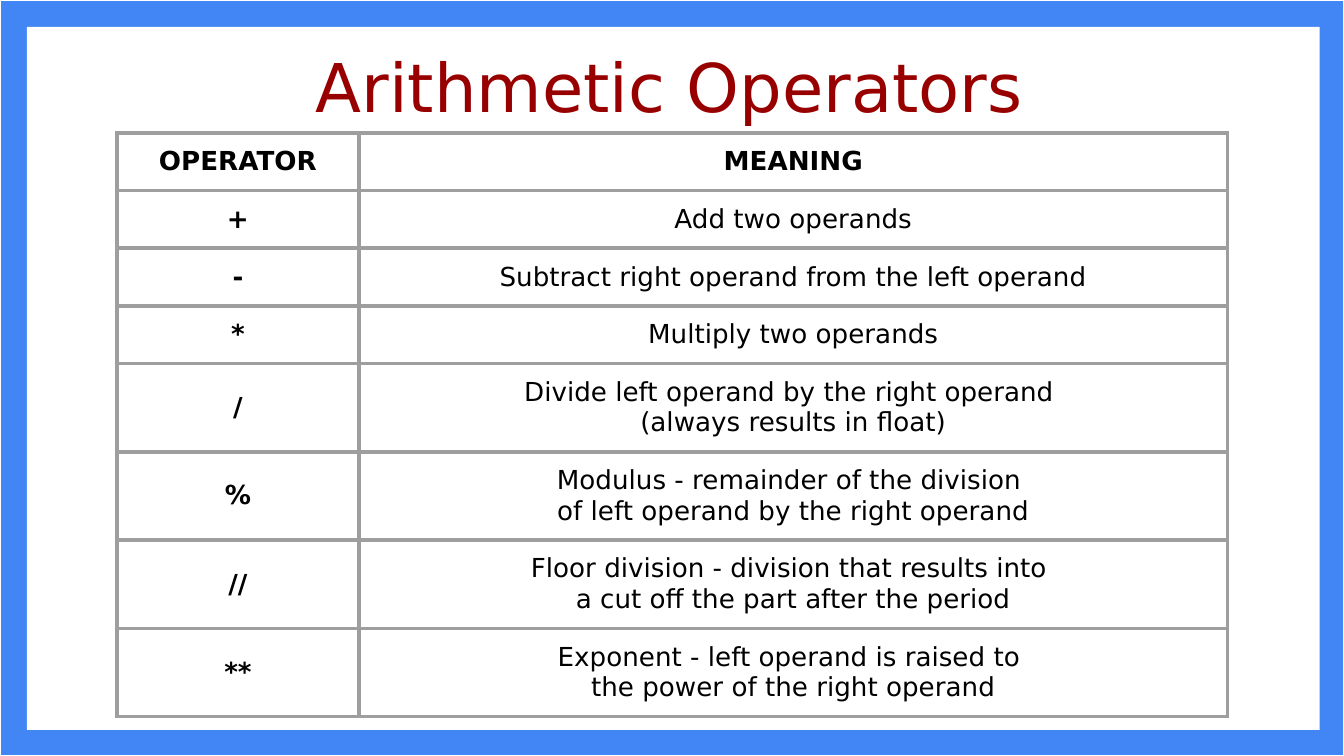
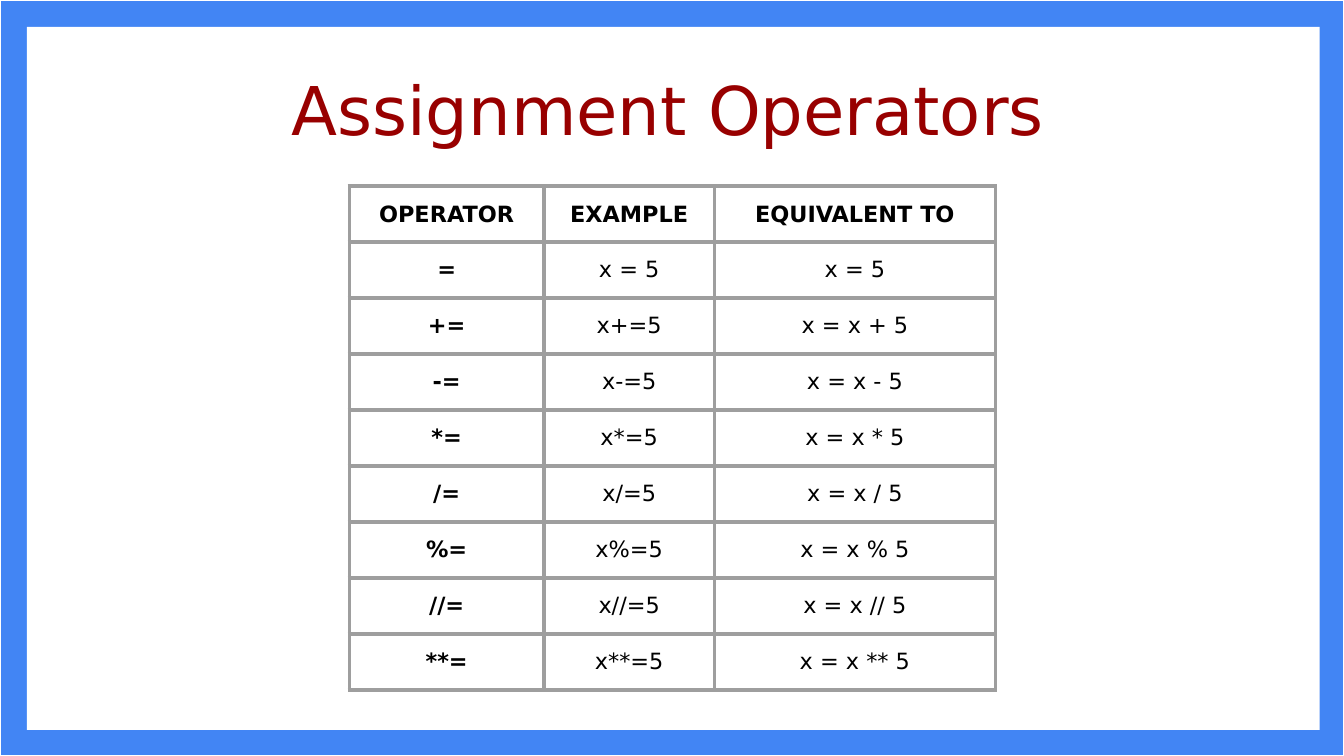
from lxml import etree
from pptx import Presentation
from pptx.dml.color import RGBColor
from pptx.enum.shapes import MSO_SHAPE
from pptx.enum.text import MSO_ANCHOR, MSO_AUTO_SIZE, PP_ALIGN
from pptx.oxml.ns import qn
from pptx.util import Pt

RECTANGLE = MSO_SHAPE.RECTANGLE
TOP, MIDDLE = MSO_ANCHOR.TOP, MSO_ANCHOR.MIDDLE
LEFT, CENTER = PP_ALIGN.LEFT, PP_ALIGN.CENTER
NO_AUTOFIT = MSO_AUTO_SIZE.NONE

BLUE = RGBColor(0x42, 0x85, 0xF4)
WHITE = RGBColor(0xFF, 0xFF, 0xFF)
BLACK = RGBColor(0x00, 0x00, 0x00)
DARK_RED = RGBColor(0x98, 0x00, 0x00)
GRAY = RGBColor(0x9E, 0x9E, 0x9E)

FONT = "DejaVu Sans"
SLIDE_WIDTH, SLIDE_HEIGHT = 720, 405
INSET = 7.2
ROW_HEIGHT = 30
BORDER_WIDTH = 2.25
TITLE_ONLY = 5

# A list holds paragraphs; "\n" is a line break within one paragraph
ARITHMETIC_ROWS = [
    ["OPERATOR", "MEANING"],
    ["+", "Add two operands"],
    ["-", "Subtract right operand from the left operand"],
    ["*", "Multiply two operands"],
    ["/", ["Divide left operand by the right operand ", "(always results in float)"]],
    ["%", ["Modulus - remainder of the division ", "of left operand by the right operand"]],
    ["//", "Floor division - division that results into \na cut off the part after the period"],
    ["**", ["Exponent - left operand is raised to ", "the power of the right operand"]],
]
ASSIGNMENT_ROWS = [["OPERATOR", "EXAMPLE", "EQUIVALENT TO"], ["=", "x = 5", "x = 5"]] + [
    [f"{operator}=", f"x{operator}=5", f"x = x {operator} 5"]
    for operator in ("+", "-", "*", "/", "%", "//", "**")
]


def add_run(paragraph, text, size, color, bold=False):
    run = paragraph.add_run()
    run.text = text
    run.font.name = FONT
    run.font.size = Pt(size)
    run.font.bold = bold
    run.font.color.rgb = color


def set_insets(target):
    target.margin_left = target.margin_right = Pt(INSET)
    target.margin_top = target.margin_bottom = Pt(INSET)


def add_rectangle(slide, left, top, width, height, color):
    shape = slide.shapes.add_shape(RECTANGLE, Pt(left), Pt(top), Pt(width), Pt(height))
    shape.shadow.inherit = False
    shape.fill.solid()
    shape.fill.fore_color.rgb = color
    shape.line.fill.background()
    return shape


def add_frame(slide):
    """Draw the blue frame and move it into the layout shared by all slides."""
    border = add_rectangle(slide, 0, 0, SLIDE_WIDTH, SLIDE_HEIGHT, BLUE)
    border.line.color.rgb = WHITE
    border.line.width = Pt(0.75)
    panel = add_rectangle(slide, 14.4, 14.4, 692.6, 376.6, WHITE)
    layout_tree = slide.slide_layout.shapes.element
    for index, shape in enumerate((border, panel)):
        shape.element.nvSpPr.cNvPr.set("id", str(100 + index))
        layout_tree.insert(2 + index, shape.element)


def set_title(slide, text, left, top, width):
    title = slide.shapes.title
    title.left, title.top, title.width, title.height = Pt(left), Pt(top), Pt(width), Pt(46)
    frame = title.text_frame
    frame.word_wrap = True
    frame.auto_size = NO_AUTOFIT
    frame.vertical_anchor = TOP
    set_insets(frame)
    paragraph = frame.paragraphs[0]
    paragraph.alignment = LEFT
    add_run(paragraph, text, 36, DARK_RED)


def fill_cell(cell, content, size, bold):
    cell.vertical_anchor = MIDDLE
    set_insets(cell)
    cell.fill.background()
    frame = cell.text_frame
    for index, text in enumerate([content] if isinstance(content, str) else content):
        paragraph = frame.add_paragraph() if index else frame.paragraphs[0]
        paragraph.alignment = CENTER
        for line_index, line in enumerate(text.split("\n")):
            if line_index:
                paragraph.add_line_break()
            add_run(paragraph, line, size, BLACK, bold)


def add_borders(graphic_frame):
    for properties in list(graphic_frame.element.iter(qn("a:tcPr"))):
        for index, side in enumerate(("lnL", "lnR", "lnT", "lnB")):
            line = etree.Element(qn(f"a:{side}"), w=str(Pt(BORDER_WIDTH)))
            solid = etree.SubElement(line, qn("a:solidFill"))
            etree.SubElement(solid, qn("a:srgbClr"), val=str(GRAY))
            properties.insert(index, line)


def add_operator_table(slide, rows, left, top, column_widths, size):
    graphic_frame = slide.shapes.add_table(
        len(rows), len(column_widths), Pt(left), Pt(top),
        Pt(sum(column_widths)), Pt(ROW_HEIGHT * len(rows)))
    table = graphic_frame.table
    table.first_row = table.horz_banding = False
    for column, width in zip(table.columns, column_widths):
        column.width = Pt(width)
    for row_index, row in enumerate(rows):
        table.rows[row_index].height = Pt(ROW_HEIGHT)
        for column_index, content in enumerate(row):
            bold = row_index == 0 or column_index == 0
            fill_cell(table.cell(row_index, column_index), content, size, bold)
    add_borders(graphic_frame)


def main():
    presentation = Presentation()
    presentation.slide_width = Pt(SLIDE_WIDTH)
    presentation.slide_height = Pt(SLIDE_HEIGHT)
    layout = presentation.slide_layouts[TITLE_ONLY]

    # Arithmetic operators
    slide = presentation.slides.add_slide(layout)
    add_frame(slide)
    set_title(slide, "Arithmetic Operators", 162, 17.3, 396.7)
    add_operator_table(slide, ARITHMETIC_ROWS, 62.6, 71.2, (129.8, 465.2), 14)

    # Assignment operators
    slide = presentation.slides.add_slide(layout)
    set_title(slide, "Assignment Operators", 149, 29.5, 422)
    add_operator_table(slide, ASSIGNMENT_ROWS, 187.2, 99.8, (104.2, 91.4, 150.5), 12)

    presentation.save("out.pptx")


if __name__ == "__main__":
    main()
